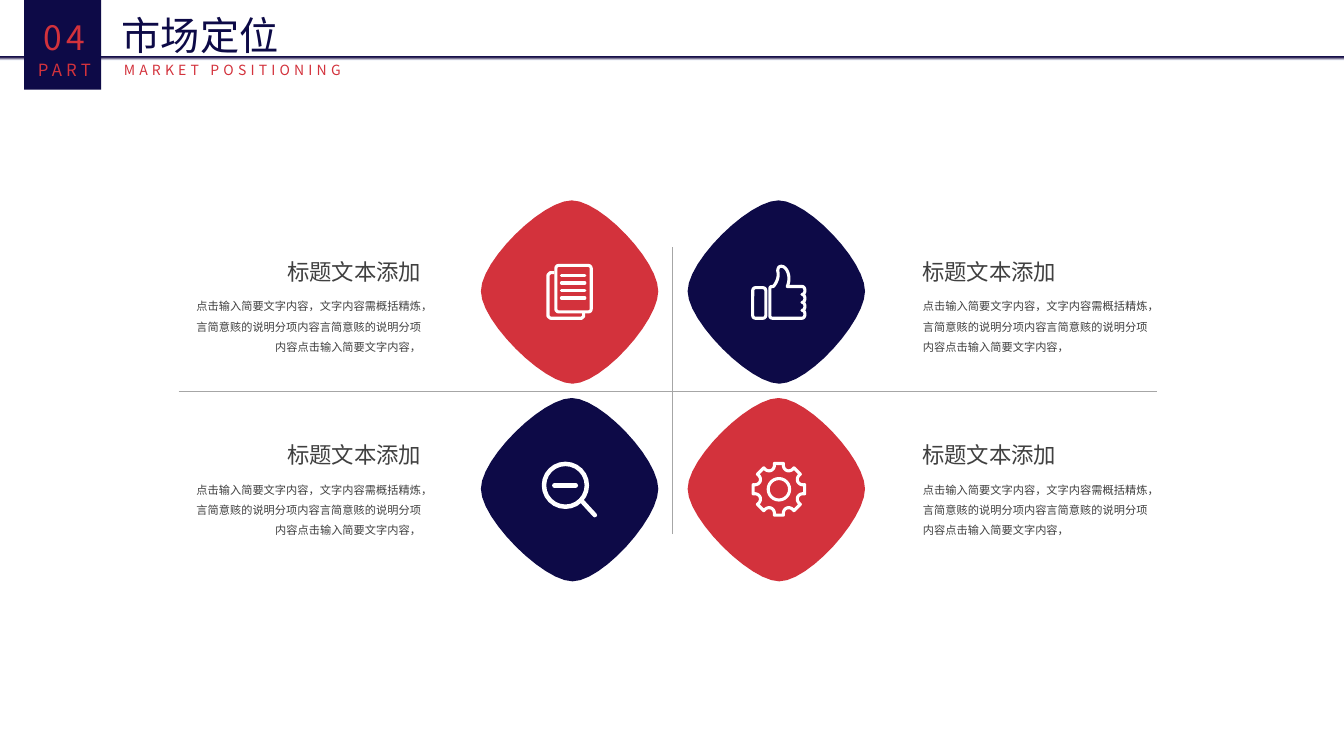
import math

from lxml import etree
from pptx import Presentation
from pptx import util as u
from pptx.dml.color import RGBColor
from pptx.enum import shapes, text
from pptx.oxml import parse_xml
from pptx.oxml.ns import nsdecls, qn

COLORS = {"navy": "0D0A47", "red": "D3323C", "white": "FFFFFF",
          "gray": "404040", "rule": "A6A6A6"}
FONT = "Noto Sans CJK SC"
HEADING = "标题文本添加"
BODY = ("点击输入简要文字内容，文字内容需概括精炼，言简意赅的说明分项内容"
        "言简意赅的说明分项内容点击输入简要文字内容，")
PALE_STOPS = [(0, "C7D5ED"), (17, "ABC0E4"), (26, "ABC0E4"), (100, "F6F8FC")]
DARK_STOPS = [(0, "0D0A47"), (17, "2C2254"), (26, "2C2254"), (100, "F6F8FC")]

# Points are in cm from the petal's top left; six numbers make a Bézier curve.
PETAL = [(0, 2.29), (0, 1.52, 1.55, 0, 2.29, 0), (3.02, 0, 4.47, 1.52, 4.47, 2.29),
         (4.47, 3.05, 3.05, 4.62, 2.31, 4.62), (1.57, 4.62, 0, 3.05, 0, 2.29)]
BACK_SHEET = [(1.85, 1.82), (1.75, 1.82), (1.69, 1.88), (1.69, 2.92), (1.75, 2.97),
              (2.54, 2.97), (2.59, 2.92), (2.59, 2.84)]
FINGERS = [(2.98, y, 2.98, y + 0.2, 2.88, y + 0.2) for y in (2.17, 2.37, 2.57, 2.77)]
HAND = [(2.07, 2.25), (2.07, 2.17, 2.1, 2.17, 2.16, 2.17),
        (2.24, 2.08, 2.31, 1.92, 2.27, 1.78), (2.27, 1.71, 2.3, 1.66, 2.36, 1.66),
        (2.5, 1.66, 2.62, 1.93, 2.51, 2.17), (2.88, 2.17), *FINGERS,
        (2.14, 2.97), (2.09, 2.97, 2.07, 2.94, 2.07, 2.9)]


def color(name):
    return RGBColor.from_string(COLORS[name])


def flatten(points, steps=12):
    """Turn lines and Bézier curves into a plain list of points."""
    flat = [points[0]]
    for point in points[1:]:
        if len(point) == 2:
            flat.append(point)
            continue
        x0, y0 = flat[-1]
        x1, y1, x2, y2, x3, y3 = point
        for step in range(1, steps + 1):
            t = step / steps
            a, b, c, d = (1 - t) ** 3, 3 * t * (1 - t) ** 2, 3 * t * t * (1 - t), t ** 3
            flat.append((a * x0 + b * x1 + c * x2 + d * x3,
                         a * y0 + b * y1 + c * y2 + d * y3))
    return flat


def paint(shape, fill=None, line=None, weight=2.2):
    shape.shadow.inherit = False
    if fill:
        shape.fill.solid()
        shape.fill.fore_color.rgb = color(fill)
    else:
        shape.fill.background()
    if line:
        shape.line.color.rgb = color(line)
        shape.line.width = u.Pt(weight)
    else:
        shape.line.fill.background()


def add_outline(slide, origin, points, close=True, **style):
    flat = [(u.Cm(origin[0] + x), u.Cm(origin[1] + y)) for x, y in flatten(points)]
    builder = slide.shapes.build_freeform(*flat[0], scale=1.0)
    builder.add_line_segments(flat[1:], close=close)
    paint(builder.convert_to_shape(), **style)


def add_preset(slide, kind, left, top, width, height, **style):
    shape = slide.shapes.add_shape(kind, u.Cm(left), u.Cm(top), u.Cm(width), u.Cm(height))
    paint(shape, **style)
    return shape


def add_line(slide, x1, y1, x2, y2, line, weight, cap="flat"):
    connector = slide.shapes.add_connector(
        shapes.MSO_CONNECTOR.STRAIGHT, u.Cm(x1), u.Cm(y1), u.Cm(x2), u.Cm(y2))
    connector.line.color.rgb = color(line)
    connector.line.width = u.Pt(weight)
    properties = connector._element.spPr
    properties.find(qn("a:ln")).set("cap", cap)
    etree.SubElement(properties, qn("a:effectLst"))


def add_gradient_bar(slide, stops):
    bar = add_preset(slide, shapes.MSO_SHAPE.RECTANGLE, 0, 1.42, 33.87, 0.1, fill="navy")
    stop_xml = "".join(f'<a:gs pos="{position * 1000}"><a:srgbClr val="{value}"/></a:gs>'
                       for position, value in stops)
    solid = bar._element.spPr.find(qn("a:solidFill"))
    bar._element.spPr.replace(solid, parse_xml(
        f'<a:gradFill {nsdecls("a")}><a:gsLst>{stop_xml}</a:gsLst>'
        '<a:lin ang="5400000" scaled="0"/></a:gradFill>'))


def add_text(slide, left, top, width, height, lines, ink, align="LEFT",
             leading=None, tracking=0, wrap=True):
    """Add a text box; lines holds (wording, point size) pairs."""
    box = slide.shapes.add_textbox(u.Cm(left), u.Cm(top), u.Cm(width), u.Cm(height))
    frame = box.text_frame
    frame.word_wrap = wrap
    for index, (wording, size) in enumerate(lines):
        paragraph = frame.add_paragraph() if index else frame.paragraphs[0]
        paragraph.text = wording
        paragraph.alignment = text.PP_ALIGN[align]
        paragraph.line_spacing = leading
        paragraph.font.size = u.Pt(size)
        paragraph.font.color.rgb = color(ink)
        paragraph.font.name = FONT
        properties = paragraph._p.pPr.find(qn("a:defRPr"))
        etree.SubElement(properties, qn("a:ea"), typeface=FONT)
        if tracking:
            properties.set("spc", str(tracking * 100))


def add_rounded(slide, left, top, width, height, radius):
    shape = add_preset(slide, shapes.MSO_SHAPE.ROUNDED_RECTANGLE,
                       left, top, width, height, line="white")
    shape.adjustments[0] = radius / min(width, height)


def add_ring(slide, x, y, radius, weight):
    add_preset(slide, shapes.MSO_SHAPE.OVAL, x - radius, y - radius,
               2 * radius, 2 * radius, line="white", weight=weight)


def draw_document(slide, x, y):
    add_outline(slide, (x, y), BACK_SHEET, close=False, line="white")
    add_rounded(slide, x + 1.89, y + 1.64, 0.89, 1.17, 0.07)
    for row in range(4):
        line_y = y + 1.89 + 0.19 * row
        add_line(slide, x + 2.03, line_y, x + 2.62, line_y, "white", 2.2, "rnd")


def draw_thumb(slide, x, y):
    add_rounded(slide, x + 1.64, y + 2.2, 0.33, 0.77, 0.07)
    add_outline(slide, (x, y), HAND, line="white")


def draw_magnifier(slide, x, y):
    add_ring(slide, x + 2.13, y + 2.2, 0.54, 3.2)
    add_line(slide, x + 1.85, y + 2.2, x + 2.39, y + 2.2, "white", 3.2, "rnd")
    add_line(slide, x + 2.53, y + 2.58, x + 2.87, y + 2.95, "white", 3.2, "rnd")


def draw_gear(slide, x, y):
    def polar(radius, degrees):
        angle = math.radians(degrees)
        return 2.3 + radius * math.cos(angle), 2.3 + radius * math.sin(angle)

    points = [polar(0.66, -10)]
    for tooth in range(0, 360, 45):
        points.append(polar(0.66, tooth + 10))
        points.append((*polar(0.48, tooth + 10), *polar(0.48, tooth + 35),
                       *polar(0.66, tooth + 35)))
    add_outline(slide, (x, y), points, line="white")
    add_ring(slide, x + 2.3, y + 2.3, 0.27, 2.2)


def add_quadrant(slide, column, row, fill, draw_icon):
    x, y = 12.12 + 5.21 * column, 5.05 + 4.98 * row
    add_outline(slide, (x, y), PETAL, fill=fill)
    draw_icon(slide, x, y)
    align = "LEFT" if column else "RIGHT"
    heading_top = 6.37 + 4.63 * row
    add_text(slide, 22.99 if column else 3.86, heading_top, 7.01, 0.94,
             [(HEADING, 16)], "gray", align)
    add_text(slide, 23.01 if column else 4.5, heading_top + 0.89, 6.37, 1.8,
             [(BODY, 8)], "gray", align, leading=1.5)


def add_header(slide):
    add_text(slide, 2.82, 0.15, 4.5, 1.45, [("市场定位", 28)], "navy", wrap=False)
    add_text(slide, 2.87, 1.37, 7.39, 0.71, [("MARKET POSITIONING", 10)], "red",
             leading=1.14, tracking=3)
    add_gradient_bar(slide, DARK_STOPS)
    add_preset(slide, shapes.MSO_SHAPE.RECTANGLE, 0.61, 0, 1.94, 2.26, fill="navy")
    add_text(slide, 0.61, 0.15, 2.03, 2.01, [("04", 24), ("PART", 12)], "red", "CENTER",
             leading=1.14, tracking=3)


def main():
    presentation = Presentation()
    presentation.slide_width, presentation.slide_height = u.Cm(33.87), u.Cm(19.05)
    slide = presentation.slides.add_slide(presentation.slide_layouts[6])
    add_gradient_bar(slide, PALE_STOPS)
    add_quadrant(slide, 0, 0, "red", draw_document)
    add_quadrant(slide, 0, 1, "navy", draw_magnifier)
    add_quadrant(slide, 1, 0, "navy", draw_thumb)
    add_quadrant(slide, 1, 1, "red", draw_gear)
    add_line(slide, 16.94, 13.46, 16.94, 6.22, "rule", 0.5)
    add_line(slide, 4.5, 9.86, 29.16, 9.86, "rule", 0.5)
    add_header(slide)
    presentation.save("out.pptx")


if __name__ == "__main__":
    main()
